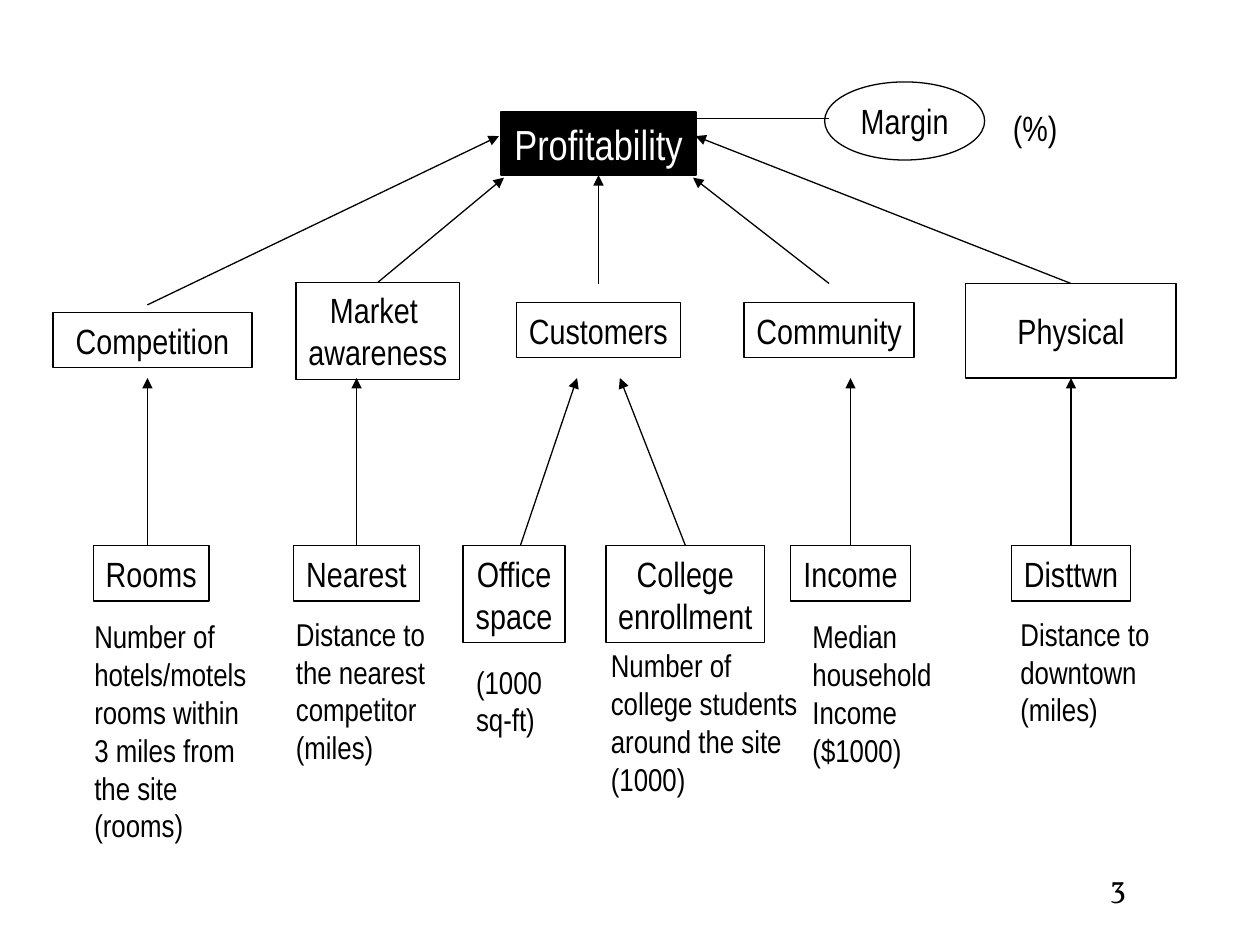
"""Build the driver tree slide that explains profitability."""
from lxml.etree import SubElement
from pptx import Presentation
from pptx.dml.color import RGBColor
from pptx.enum.shapes import MSO_CONNECTOR as Connector, MSO_SHAPE as Shape
from pptx.enum.text import MSO_ANCHOR as Anchor, PP_ALIGN as Align
from pptx.oxml.ns import qn
from pptx.util import Inches, Pt

COLORS = {"ink": "000000", "paper": "FFFFFF"}
FONT, PAGE_FONT = "Arial Narrow", "Vollkorn"
ONE_LINE, TWO_LINES, MEASURE_TOP = 0.44, 0.77, 4.33
TOP, BOTTOM = 0, 2

# name: centre x, top, width, height, lines
DRIVERS = {
    "Competition": (1.21, 2.48, 1.58, ONE_LINE, ["Competition"]),
    "Market": (3, 2.24, 1.3, TWO_LINES, ["Market ", "awareness"]),
    "Customers": (4.75, 2.4, 1.3, ONE_LINE, ["Customers"]),
    "Community": (6.58, 2.4, 1.35, ONE_LINE, ["Community"]),
    "Physical": (8.5, 2.25, 1.67, 0.75, ["Physical"]),
}
MEASURES = {
    "Rooms": (1.2, 0.92, ["Rooms"]),
    "Nearest": (2.83, 1, ["Nearest"]),
    "Office": (4.08, 0.81, ["Office", "space"]),
    "College": (5.44, 1.26, ["College", "enrollment"]),
    "Income": (6.75, 0.95, ["Income"]),
    "Disttwn": (8.5, 0.95, ["Disttwn"]),
}
NOTES = [
    (0.65, 4.85, 1.5, 1.9, ["Number of", "hotels/motels", "rooms within",
                            "3 miles from", "the site", "(rooms)"]),
    (2.25, 4.83, 1.32, 1.3, ["Distance to", "the nearest", "competitor", "(miles)"]),
    (3.68, 5.21, 0.88, 0.7, ["(1000", "sq-ft)"]),
    (4.75, 5.08, 1.84, 1.3, ["Number of", "college students", "around the site", "(1000)"]),
    (6.35, 4.85, 1.24, 1.3, ["Median", "household", "Income", "($1000)"]),
    (8, 4.83, 1.32, 1, ["Distance to", "downtown", "(miles)"]),
]
# start point, end point, box and side joined at the start, at the end
ARROWS = [
    ((1.17, 2.42), (3.96, 1.08), None, None),
    ((3, 2.24), (4, 1.41), ("Market", TOP), None),
    ((4.75, 2.25), (4.75, 1.39), None, ("Profitability", BOTTOM)),
    ((6.58, 2.25), (5.5, 1.41), None, None),
    ((8.5, 2.25), (5.52, 1.08), ("Physical", TOP), None),
    ((1.17, MEASURE_TOP), (1.17, 3), None, None),
    ((2.83, MEASURE_TOP), (2.83, 3), ("Nearest", TOP), None),
    ((4.13, MEASURE_TOP), (4.58, 3), None, None),
    ((5.44, MEASURE_TOP), (4.92, 3), ("College", TOP), None),
    ((6.75, MEASURE_TOP), (6.75, 3), ("Income", TOP), None),
    ((8.5, MEASURE_TOP), (8.5, 3), ("Disttwn", TOP), ("Physical", BOTTOM)),
]


def color(name):
    return RGBColor.from_string(COLORS[name])


def write(shape, lines, size, ink="ink", font=FONT, align=Align.LEFT, **frame_format):
    frame = shape.text_frame
    settings = {"vertical_anchor": Anchor.MIDDLE, **frame_format}
    for name, value in settings.items():
        setattr(frame, name, value)
    for index, line in enumerate(lines):
        para = frame.add_paragraph() if index else frame.paragraphs[0]
        para.alignment = align
        span = para.add_run()
        span.text = line
        for name, value in {"name": font, "size": Pt(size)}.items():
            setattr(span.font, name, value)
        span.font.color.rgb = color(ink)


def add_box(page, center, top, width, height, lines, size=20,
            kind=Shape.RECTANGLE, fill="paper", ink="ink"):
    box = page.shapes.add_shape(kind, *map(Inches, (center - width / 2, top, width, height)))
    box.shadow.inherit = False
    box.fill.solid()
    box.fill.fore_color.rgb = color(fill)
    box.line.color.rgb = color("ink")
    box.line.width = Pt(0.75)
    write(box, lines, size, ink, align=Align.CENTER, word_wrap=False)
    return box


def add_label(page, place, lines, size, **text_format):
    label = page.shapes.add_textbox(*map(Inches, place))
    write(label, lines, size, word_wrap=True, **text_format)


def add_line(page, start, end, arrow=True):
    line = page.shapes.add_connector(Connector.STRAIGHT, *map(Inches, start + end))
    line.line.color.rgb = color("ink")
    line.line.width = Pt(0.75)
    if arrow:
        SubElement(line.line._get_or_add_ln(), qn("a:tailEnd"), type="triangle")
    SubElement(line._element.spPr, qn("a:effectLst"))
    return line


def main():
    deck = Presentation()
    deck.slide_width, deck.slide_height = Inches(10), Inches(7.5)
    page = deck.slides.add_slide(deck.slide_layouts[6])

    boxes = {"Profitability": add_box(page, 4.75, 0.89, 1.55, 0.5, ["Profitability"],
                                      size=24, fill="ink", ink="paper")}
    for name, place in DRIVERS.items():
        boxes[name] = add_box(page, *place)
    for name, (center, width, lines) in MEASURES.items():
        height = TWO_LINES if len(lines) > 1 else ONE_LINE
        boxes[name] = add_box(page, center, MEASURE_TOP, width, height, lines)
    add_box(page, 7.18, 0.65, 1.27, 0.62, ["Margin"], kind=Shape.OVAL)

    add_line(page, (5.5, 0.94), (6.58, 0.94), arrow=False)
    for start, end, source, target in ARROWS:
        line = add_line(page, start, end)
        for joint, connect in ((source, line.begin_connect), (target, line.end_connect)):
            if joint:
                name, side = joint
                connect(boxes[name], side)

    for *place, lines in NOTES:
        add_label(page, place, lines, 18)
    add_label(page, (7.94, 0.8, 0.7, ONE_LINE), ["(%)"], 20, vertical_anchor=Anchor.TOP)
    add_label(page, (8.71, 6.83, 0.45, 0.46), ["3"], 18, font=PAGE_FONT,
              vertical_anchor=Anchor.TOP)
    deck.save("out.pptx")


if __name__ == "__main__":
    main()
